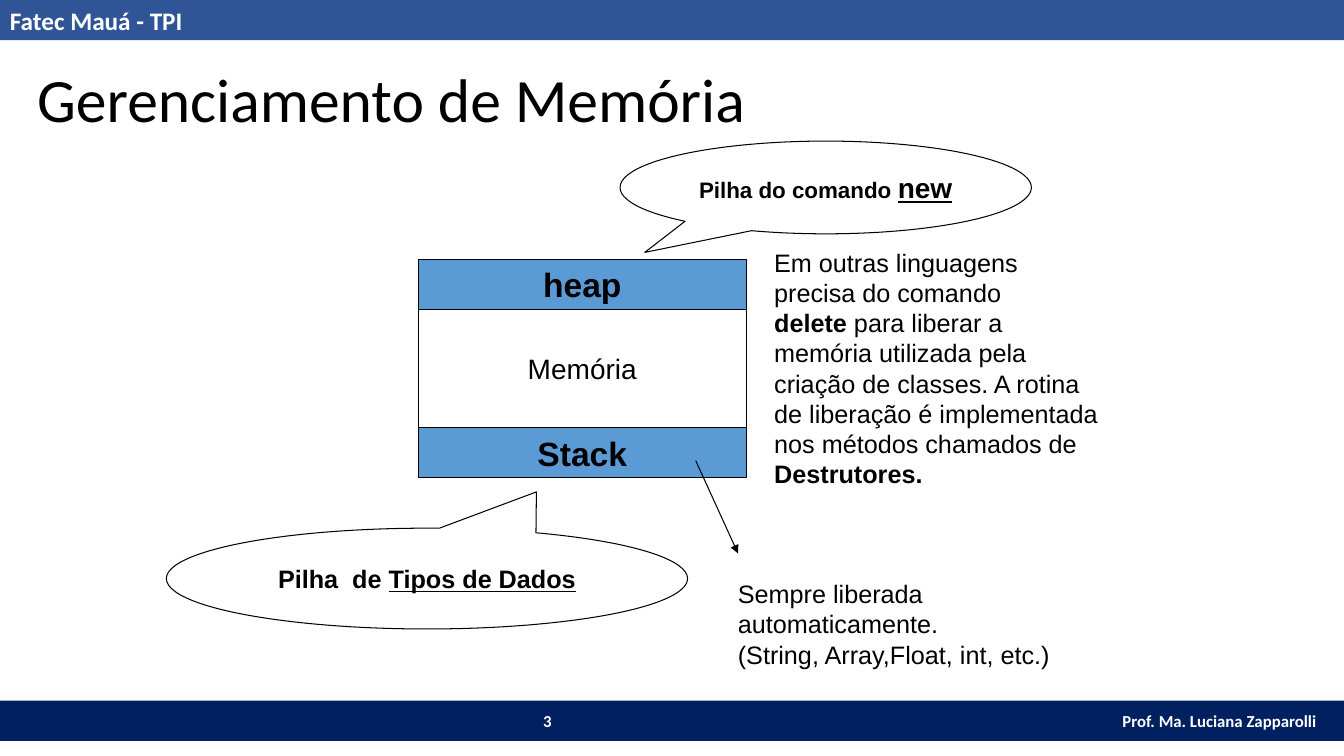
import pptx
import pptx.dml.color
import pptx.enum.shapes
import pptx.enum.text
import pptx.oxml.ns
import pptx.util
from lxml import etree

SHAPES = pptx.enum.shapes.MSO_SHAPE
ALIGN = pptx.enum.text.PP_ALIGN
ANCHOR = pptx.enum.text.MSO_ANCHOR

THEME = {
    "header": "2F5597", "footer": "002060", "segment": "5B9BD5",
    "white": "FFFFFF", "black": "000000",
    "title_font": "Calibri", "body_font": "Arial",
    "title": 44, "segment_name": 24, "memory": 20, "keyword": 20,
    "body": 18, "callout": 16, "footer_text": 12, "outline": 0.75,
}

presentation = pptx.Presentation()
presentation.slide_width = pptx.util.Inches(13.33)
presentation.slide_height = pptx.util.Inches(7.5)
slide = presentation.slides.add_slide(presentation.slide_layouts[6])

# The slide is a grid of 1333 columns by 750 rows.
COLUMN = presentation.slide_width / 1333
ROW = presentation.slide_height / 750


def write(shape, lines, size, font="body_font", color="black", bold=False,
          align=ALIGN.LEFT, anchor=ANCHOR.TOP, wrap=False):
    """Fill a shape with lines, each a list of (text, run font settings)."""
    frame = shape.text_frame
    frame.word_wrap = wrap
    frame.vertical_anchor = anchor
    for index, line in enumerate(lines):
        paragraph = frame.paragraphs[0] if index == 0 else frame.add_paragraph()
        paragraph.alignment = align
        paragraph.font.name = THEME[font]
        paragraph.font.size = pptx.util.Pt(THEME[size])
        paragraph.font.bold = bold
        paragraph.font.color.rgb = pptx.dml.color.RGBColor.from_string(THEME[color])
        for text, settings in line:
            run = paragraph.add_run()
            run.text = text
            for name, value in settings.items():
                setattr(run.font, name, value)


def add_box(kind, left, top, width, height, fill, outlined=False):
    shape = slide.shapes.add_shape(
        kind, round(left * COLUMN), round(top * ROW),
        round(width * COLUMN), round(height * ROW))
    shape.shadow.inherit = False
    shape.fill.solid()
    shape.fill.fore_color.rgb = pptx.dml.color.RGBColor.from_string(THEME[fill])
    if outlined:
        shape.line.color.rgb = pptx.dml.color.RGBColor.from_string(THEME["black"])
        shape.line.width = pptx.util.Pt(THEME["outline"])
    else:
        shape.line.fill.background()
    return shape


# Header and footer bars
BAR_HEIGHT, FOOTER_TOP, FOOTER_SPLIT = 40, 695, 1086
header = add_box(SHAPES.RECTANGLE, 0, 0, 1333, BAR_HEIGHT, "header")
write(header, [[("Fatec Mauá - TPI", {})]], "body", "title_font", "white",
      bold=True, wrap=True)
for text, left, right in [("Prof. Ma. Luciana Zapparolli", FOOTER_SPLIT, 1333),
                          ("3", 0, FOOTER_SPLIT)]:
    footer = add_box(SHAPES.RECTANGLE, left, FOOTER_TOP, right - left,
                     BAR_HEIGHT, "footer")
    write(footer, [[(text, {})]], "footer_text", "title_font", "white",
          bold=True, align=ALIGN.CENTER, anchor=ANCHOR.MIDDLE, wrap=True)

# Memory diagram, stacked from top to bottom
top = 257
for text, height, fill, size, bold in [
        ("heap", 50, "segment", "segment_name", True),
        ("Memória", 117, "white", "memory", False),
        ("Stack", 50, "segment", "segment_name", True)]:
    segment = add_box(SHAPES.RECTANGLE, 415, top, 325, height, fill, outlined=True)
    write(segment, [[(text, {})]], size, bold=bold,
          align=ALIGN.CENTER, anchor=ANCHOR.MIDDLE)
    top += height

# Callouts: place, pointer tip, text
keyword = {"underline": True, "size": pptx.util.Pt(THEME["keyword"])}
for place, tip, size, line in [
        ((615, 140, 408, 92), (-0.44, 0.7), "callout",
         [("Pilha do comando ", {}), ("new", keyword)]),
        ((165, 524, 517, 100), (0.21, -0.86), "body",
         [("Pilha  de ", {}), ("Tipos de Dados", {"underline": True})])]:
    callout = add_box(SHAPES.OVAL_CALLOUT, *place, "white", outlined=True)
    callout.adjustments[0], callout.adjustments[1] = tip
    write(callout, [line], size, bold=True,
          align=ALIGN.CENTER, anchor=ANCHOR.MIDDLE)

# Title and notes beside the diagram
strong = {"bold": True}
title = [[("Gerenciamento de Memória", {})]]
heap_note = [
    [("Em outras linguagens", {})],
    [("precisa do comando", {})],
    [("delete", strong), (" para liberar a", {})],
    [("memória utilizada pela", {})],
    [("criação de classes. A rotina", {})],
    [("de liberação é implementada", {})],
    [("nos métodos chamados de", {})],
    [("Destrutores.", strong)],
]
stack_note = [
    [("Sempre liberada", {})],
    [("automaticamente.", {})],
    [("(String, Array,Float, int, etc.)", {})],
]
for lines, left, top, width, height, size, font, wrap in [
        (title, 27, 56, 1268, 84, "title", "title_font", True),
        (heap_note, 758, 240, 341, 250, "body", "body_font", False),
        (stack_note, 722, 569, 333, 100, "body", "body_font", False)]:
    text_box = slide.shapes.add_textbox(
        round(left * COLUMN), round(top * ROW),
        round(width * COLUMN), round(height * ROW))
    write(text_box, lines, size, font, wrap=wrap)

# Arrow from the stack to its note
arrow = slide.shapes.add_connector(
    pptx.enum.shapes.MSO_CONNECTOR.STRAIGHT,
    round(690 * COLUMN), round(457 * ROW), round(732 * COLUMN), round(549 * ROW))
arrow.line.color.rgb = pptx.dml.color.RGBColor.from_string(THEME["black"])
arrow.line.width = pptx.util.Pt(THEME["outline"])
etree.SubElement(arrow.line._get_or_add_ln(), pptx.oxml.ns.qn("a:tailEnd"),
                 type="triangle")
etree.SubElement(arrow._element.spPr, pptx.oxml.ns.qn("a:effectLst"))

presentation.save("out.pptx")
